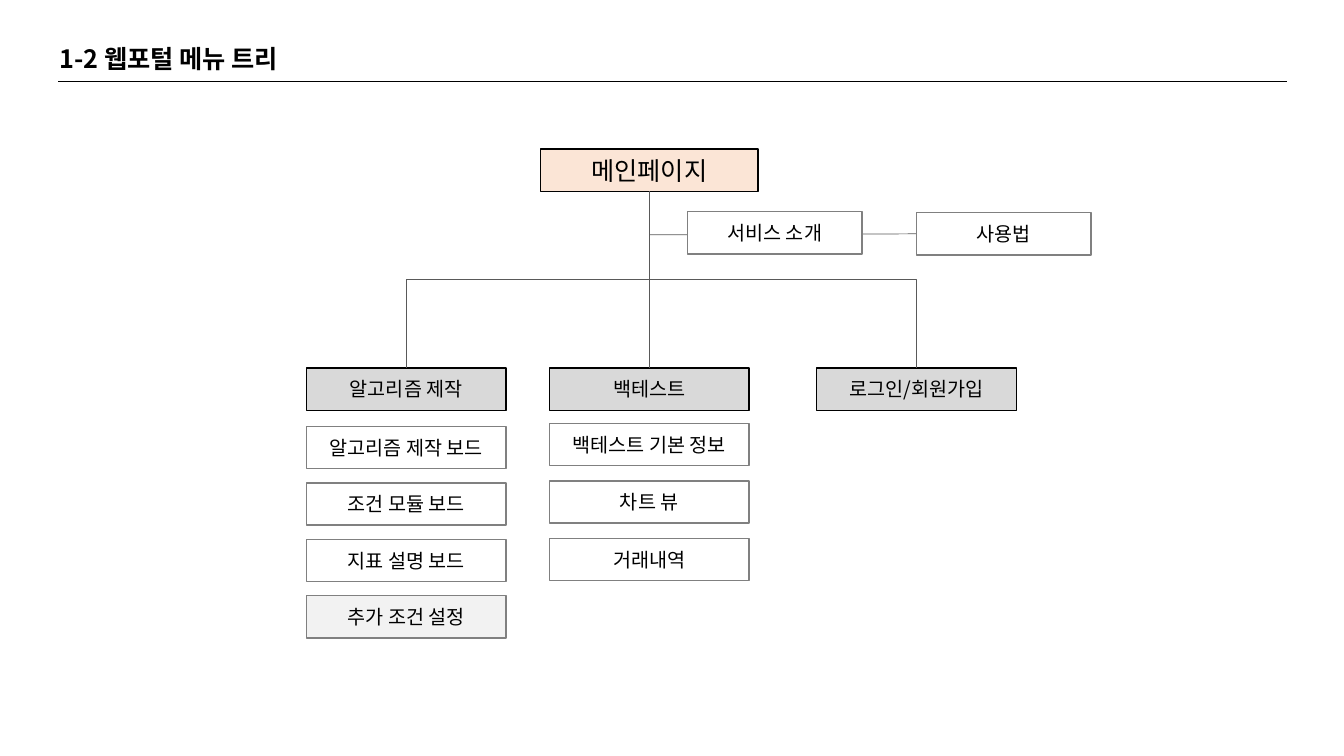
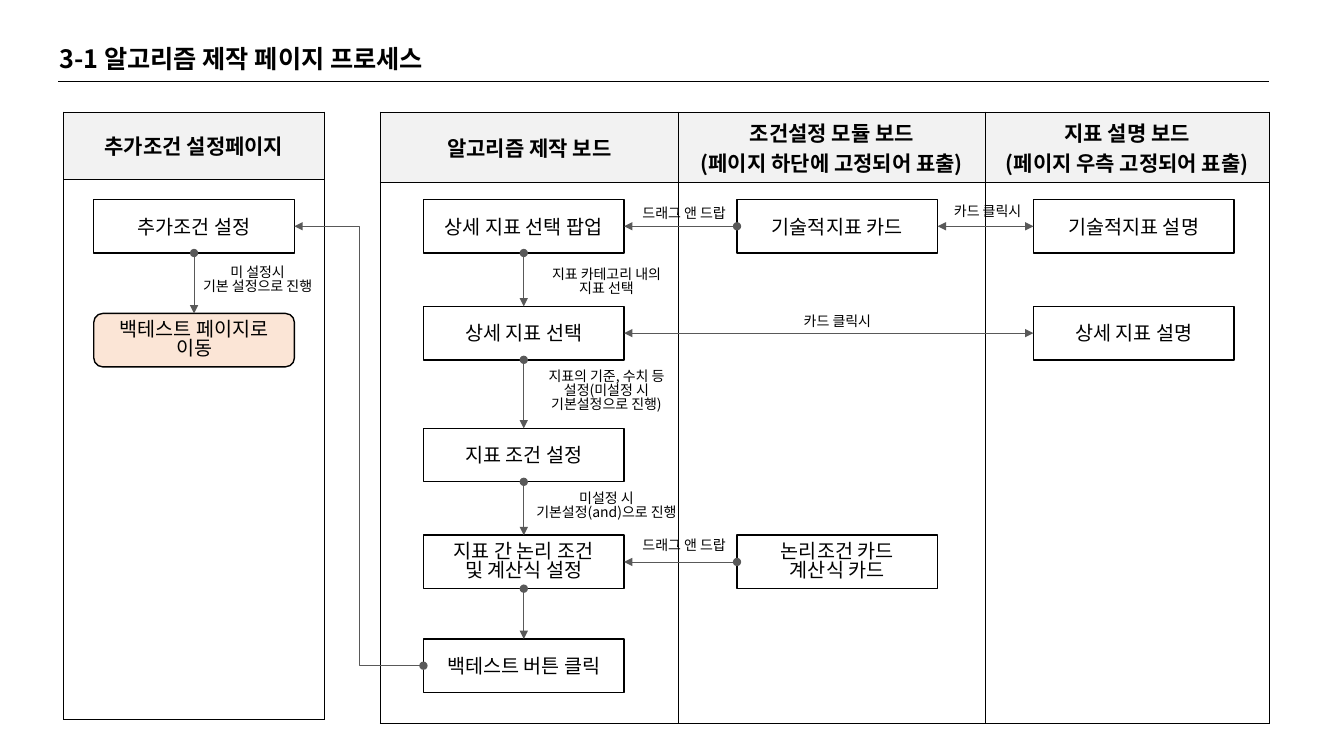
from dataclasses import dataclass

import pptx
import pptx.util
from lxml import etree
from pptx.dml.color import RGBColor
from pptx.enum.shapes import MSO_CONNECTOR, MSO_SHAPE
from pptx.enum.text import MSO_ANCHOR, MSO_AUTO_SIZE, PP_ALIGN
from pptx.oxml.ns import qn

EMU_PER_PX = 9144
TOP, LEFT, BOTTOM, RIGHT = range(4)  # connection sites of a box


@dataclass(frozen=True)
class Theme:
    font: str = "Noto Sans CJK KR"
    ink: str = "000000"
    paper: str = "FFFFFF"
    connector: str = "595959"
    item_line: str = "808080"
    accent: str = "FBE5D6"
    heading: str = "D9D9D9"
    pale: str = "F2F2F2"
    title_size: int = 18
    header_size: int = 15
    box_size: int = 14
    label_size: int = 10
    thin: float = 0.5
    outline: float = 1
    tight_spacing: float = 0.83


@dataclass(frozen=True)
class Box:
    left: int
    top: int
    width: int
    height: int

    def inner(self, left, top, width, height):
        return Box(self.left + left, self.top + top, width, height)

    def emu(self):
        return [px(value) for value in (self.left, self.top, self.width, self.height)]


THEME = Theme()


def px(value):
    return pptx.util.Emu(value * EMU_PER_PX)


def color(value):
    return RGBColor.from_string(value)


def write(text_frame, text, size, bold=False, align=PP_ALIGN.CENTER, spacing=None):
    text_frame.text = text
    for paragraph in text_frame.paragraphs:
        paragraph.alignment = align
        if spacing:
            paragraph.line_spacing = spacing
        for run in paragraph.runs:
            run.font.size = pptx.util.Pt(size)
            run.font.bold = bold
            run.font.color.rgb = color(THEME.ink)
            run.font.name = THEME.font
            latin = run.font.fill  # forces the run properties to exist
            properties = run._r.get_or_add_rPr()
            east_asian = etree.SubElement(properties, qn("a:ea"))
            east_asian.set("typeface", THEME.font)


def add_box(slide, box, text, fill=THEME.paper, line=THEME.ink, size=THEME.box_size,
            wrap=False, kind=MSO_SHAPE.FLOWCHART_PROCESS):
    shape = slide.shapes.add_shape(kind, *box.emu())
    shape.shadow.inherit = False
    if fill:
        shape.fill.solid()
        shape.fill.fore_color.rgb = color(fill)
    else:
        shape.fill.background()
    if line:
        shape.line.color.rgb = color(line)
        shape.line.width = pptx.util.Pt(THEME.outline)
    else:
        shape.line.fill.background()
    shape.text_frame.word_wrap = wrap
    shape.text_frame.vertical_anchor = MSO_ANCHOR.MIDDLE
    write(shape.text_frame, text, size, spacing=THEME.tight_spacing if "\n" in text else None)
    return shape


def add_label(slide, box, text):
    return add_box(slide, box, text, fill=None, line=None, size=THEME.label_size)


def add_line(slide, start, end, line=THEME.connector, width=THEME.thin,
             kind=MSO_CONNECTOR.STRAIGHT, head=None, tail=None):
    connector = slide.shapes.add_connector(kind, *[px(value) for value in (*start, *end)])
    connector.line.color.rgb = color(line)
    connector.line.width = pptx.util.Pt(width)
    properties = connector.element.spPr
    for tag, arrow in (("a:headEnd", head), ("a:tailEnd", tail)):
        if arrow:
            etree.SubElement(properties.find(qn("a:ln")), qn(tag)).set("type", arrow)
    etree.SubElement(properties, qn("a:effectLst"))
    return connector


def link(slide, source, source_site, target, target_site, **style):
    connector = add_line(slide, (0, 0), (1, 1), **style)
    connector.begin_connect(source, source_site)
    connector.end_connect(target, target_site)
    return connector


def turn_upright(connector):
    """Rotate an elbow by 90 degrees, so that it leaves its ends vertically."""
    begin_x, begin_y = connector.begin_x, connector.begin_y
    end_x, end_y = connector.end_x, connector.end_y
    center_x, center_y = (begin_x + end_x) // 2, (begin_y + end_y) // 2
    connector.begin_x = center_x + begin_y - center_y
    connector.begin_y = center_y - begin_x + center_x
    connector.end_x = center_x + end_y - center_y
    connector.end_y = center_y - end_x + center_x
    connector.element.spPr.find(qn("a:xfrm")).set("rot", "5400000")


def add_titled_slide(presentation, title, title_width, rule_end):
    slide = presentation.slides.add_slide(presentation.slide_layouts[5])
    shape = slide.shapes.title
    shape.left, shape.top, shape.width, shape.height = Box(49, 38, title_width, 40).emu()
    shape.text_frame.auto_size = MSO_AUTO_SIZE.NONE
    shape.text_frame.word_wrap = True
    shape.text_frame.vertical_anchor = MSO_ANCHOR.MIDDLE
    write(shape.text_frame, title, THEME.title_size, bold=True, align=PP_ALIGN.LEFT)
    add_line(slide, (58, 81), (rule_end, 81), line=THEME.ink, width=THEME.outline)
    return slide


def style_cell(cell, fill):
    properties = cell._tc.get_or_add_tcPr()
    for side in ("a:lnL", "a:lnR", "a:lnT", "a:lnB"):
        border = etree.SubElement(properties, qn(side), w=str(pptx.util.Pt(THEME.thin)))
        solid = etree.SubElement(border, qn("a:solidFill"))
        etree.SubElement(solid, qn("a:srgbClr"), val=THEME.ink)
    cell.fill.solid()
    cell.fill.fore_color.rgb = color(fill)
    cell.vertical_anchor = MSO_ANCHOR.MIDDLE


def add_lanes(slide, box, lanes):
    """Draw a table of lanes, each given as (header, width)."""
    table = slide.shapes.add_table(2, len(lanes), *box.emu()).table
    table.first_row = table.horz_banding = False
    header_height = 67
    table.rows[0].height = px(header_height)
    table.rows[1].height = px(box.height - header_height)
    for index, (header, width) in enumerate(lanes):
        table.columns[index].width = px(width)
        style_cell(table.cell(0, index), THEME.pale)
        style_cell(table.cell(1, index), THEME.paper)
        write(table.cell(0, index).text_frame, header, THEME.header_size, bold=True)


def add_menu_column(slide, box, heading, items, first=0, pitch=0):
    """Stack a heading and its (text, fill) items; return the heading."""
    shape = add_box(slide, box, heading, fill=THEME.heading, wrap=True, kind=MSO_SHAPE.RECTANGLE)
    for index, (text, fill) in enumerate(items):
        place = box.inner(0, first + index * pitch, box.width, box.height)
        add_box(slide, place, text, fill=fill, line=THEME.item_line, wrap=True,
                kind=MSO_SHAPE.RECTANGLE)
    return shape


def add_menu_tree(slide, box):
    add_line(slide, (box.left + 340, box.top + 85), (box.left + 605, box.top + 84))
    root = add_box(slide, box.inner(232, 0, 216, 42), "메인페이지", fill=THEME.accent,
                   size=THEME.title_size, wrap=True, kind=MSO_SHAPE.RECTANGLE)
    for left, top, text in ((378, 62, "서비스 소개"), (605, 63, "사용법")):
        add_box(slide, box.inner(left, top, 173, 42), text, line=THEME.item_line, wrap=True,
                kind=MSO_SHAPE.RECTANGLE)
    columns = [
        (0, "알고리즘 제작", [("알고리즘 제작 보드", THEME.paper), ("조건 모듈 보드", THEME.paper),
                        ("지표 설명 보드", THEME.paper), ("추가 조건 설정", THEME.pale)], 58, 56),
        (241, "백테스트", [("백테스트 기본 정보", THEME.paper), ("차트 뷰", THEME.paper),
                       ("거래내역", THEME.paper)], 55, 57),
        (506, "로그인/회원가입", [], 0, 0),
    ]
    for left, *content in columns:
        heading = add_menu_column(slide, box.inner(left, 217, 198, 42), *content)
        straight = heading.left + heading.width // 2 == root.left + root.width // 2
        kind = MSO_CONNECTOR.STRAIGHT if straight else MSO_CONNECTOR.ELBOW
        connector = link(slide, heading, TOP, root, BOTTOM, kind=kind)
        if not straight:
            turn_upright(connector)


def add_settings_lane(slide, box):
    """Draw the settings page lane; return its first step."""
    add_lanes(slide, box, [("추가조건 설정페이지", box.width)])
    settings = add_box(slide, box.inner(30, 87, 199, 53), "추가조건 설정")
    backtest = add_box(slide, box.inner(30, 200, 199, 53), "백테스트 페이지로\n이동",
                       fill=THEME.accent, kind=MSO_SHAPE.FLOWCHART_ALTERNATE_PROCESS)
    link(slide, settings, BOTTOM, backtest, TOP, head="oval", tail="triangle")
    add_label(slide, box.inner(121, 148, 143, 39), "미 설정시\n기본 설정으로 진행")
    return settings


def add_board_lanes(slide, box):
    """Draw the three board lanes; return the last step."""
    add_lanes(slide, box, [
        ("알고리즘 제작 보드", 296),
        ("조건설정 모듈 보드\n(페이지 하단에 고정되어 표출)", 304),
        ("지표 설명 보드\n(페이지 우측 고정되어 표출)", 282),
    ])
    tops = (87, 193, 314, 420, 523)
    step_left, card_left, note_left = 43, 354, 648

    def step(left, row, text):
        return add_box(slide, box.inner(left, tops[row], 199, 53), text)

    steps = [step(step_left, row, text) for row, text in enumerate((
        "상세 지표 선택 팝업", "상세 지표 선택", "지표 조건 설정",
        "지표 간 논리 조건\n및 계산식 설정", "백테스트 버튼 클릭"))]
    indicator_card = step(card_left, 0, "기술적지표 카드")
    logic_card = step(card_left, 3, "논리조건 카드\n계산식 카드")
    indicator_note = step(note_left, 0, "기술적지표 설명")
    detail_note = step(note_left, 1, "상세 지표 설명")

    for upper, lower in zip(steps, steps[1:]):
        link(slide, upper, BOTTOM, lower, TOP, head="oval", tail="triangle")
    for card, target in ((indicator_card, steps[0]), (logic_card, steps[3])):
        link(slide, card, LEFT, target, RIGHT, head="oval", tail="triangle")
    for source, note in ((indicator_card, indicator_note), (steps[1], detail_note)):
        link(slide, source, RIGHT, note, LEFT, head="triangle", tail="triangle")

    for left, top, height, text in (
        (230, 87, 26, "드래그 앤 드랍"),
        (230, 417, 26, "드래그 앤 드랍"),
        (531, 85, 26, "카드 클릭시"),
        (382, 194, 26, "카드 클릭시"),
        (153, 150, 39, "지표 카테고리 내의\n지표 선택"),
        (153, 258, 39, "지표의 기준, 수치 등\n설정(미설정 시\n기본설정으로 진행)"),
        (153, 372, 39, "미설정 시\n기본설정(and)으로 진행"),
    ):
        add_label(slide, box.inner(left, top, 143, height), text)
    return steps[-1]


def main():
    presentation = pptx.Presentation()
    presentation.slide_width, presentation.slide_height = px(1333), px(750)

    menu = add_titled_slide(presentation, "1-2 웹포털 메뉴 트리", 285, 1276)
    add_menu_tree(menu, Box(304, 148, 778, 486))

    process = add_titled_slide(presentation, "3-1 알고리즘 제작 페이지 프로세스", 902, 1259)
    settings = add_settings_lane(process, Box(63, 111, 259, 603))
    button = add_board_lanes(process, Box(377, 111, 882, 603))
    link(process, button, LEFT, settings, RIGHT, kind=MSO_CONNECTOR.ELBOW,
         head="oval", tail="triangle")

    presentation.save("out.pptx")


if __name__ == "__main__":
    main()
